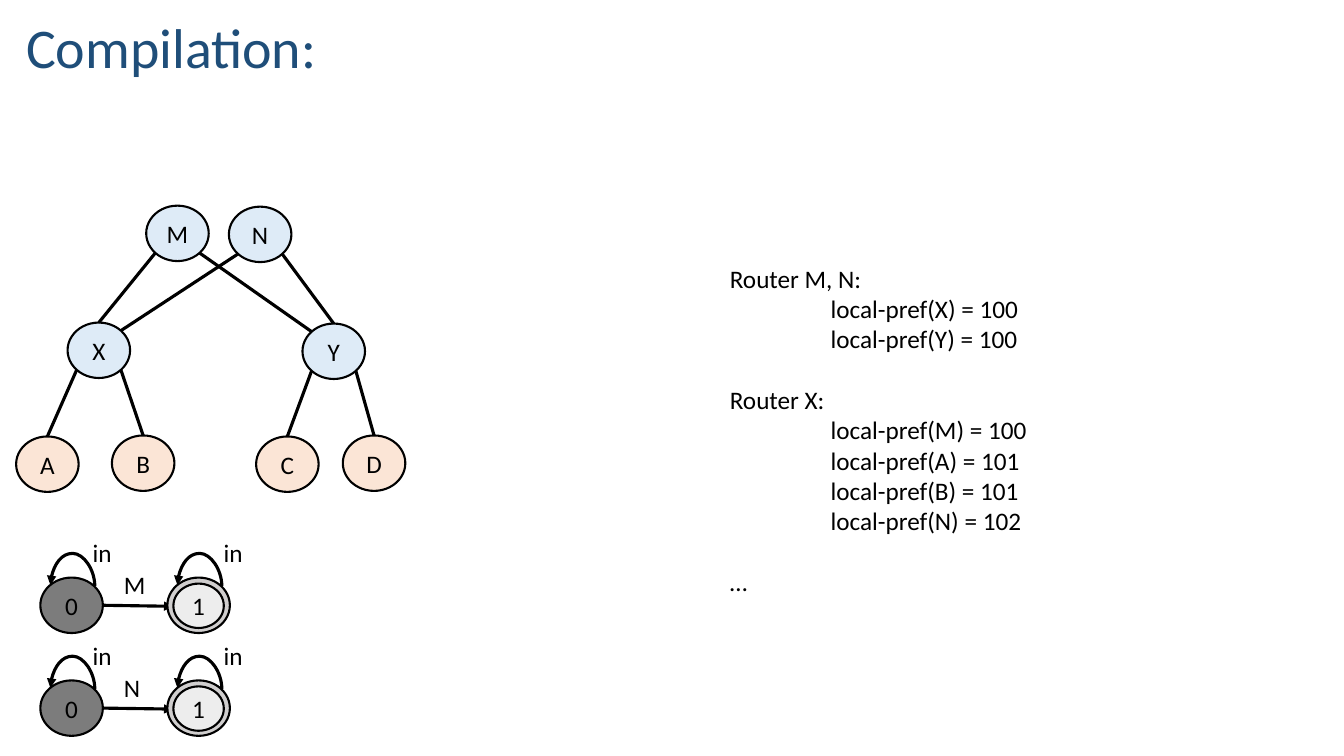
from lxml import etree
from pptx import Presentation
from pptx import util as u
from pptx.dml.color import RGBColor
from pptx.enum import shapes, text
from pptx.oxml.ns import qn

HUE = {"ink": "000000", "title": "1F4E79", "core": "DEEBF7", "leaf": "FBE5D6",
       "start": "7C7C7C", "ring": "D0CECE", "final": "EDEDED"}
FONT = "Calibri"
WIDE, HIGH = 0.62, 0.55
DIAG = 0.5 ** 0.5

# name: (left, top, colour)
NODES = {
    "M": (1.45, 2.04, "core"), "N": (2.27, 2.05, "core"),
    "X": (0.67, 3.2, "core"), "Y": (3, 3.21, "core"),
    "A": (0.16, 4.33, "leaf"), "B": (1.11, 4.32, "leaf"),
    "C": (2.54, 4.33, "leaf"), "D": (3.4, 4.32, "leaf"),
}
# upper node, its lower side, lower node, its upper side (-1 left, 0 top, 1 right)
EDGES = [
    ("M", -1, "X", 0), ("N", -1, "X", 1), ("M", 1, "Y", -1), ("N", 1, "Y", 0),
    ("X", -1, "A", 0), ("X", 1, "B", 0), ("Y", -1, "C", 0), ("Y", 1, "D", 0),
]
# letter on the step, top of the start state
CHAINS = [("M", 5.73), ("N", 6.75)]
# line, is indented, starts a new block
CONFIG = [
    ("Router M, N:", False, False),
    ("local-pref(X) = 100", True, False),
    ("local-pref(Y) = 100", True, False),
    ("Router X:", False, True),
    ("local-pref(M) = 100", True, False),
    ("local-pref(A) = 101", True, False),
    ("local-pref(B) = 101", True, False),
    ("local-pref(N) = 102", True, False),
    ("…", False, True),
]

deck = Presentation()
deck.slide_width, deck.slide_height = u.Inches(13.33), u.Inches(7.5)
slide = deck.slides.add_slide(deck.slide_layouts[6])


def inch(*vals):
    return [u.Inches(v) for v in vals]


def tint(name):
    return RGBColor.from_string(HUE[name])


def style(para, size=18, hue="ink"):
    for key, val in {"name": FONT, "size": u.Pt(size)}.items():
        setattr(para.font, key, val)
    para.font.color.rgb = tint(hue)


def oval(x, y, hue, word="", w=WIDE, h=HIGH):
    shape = slide.shapes.add_shape(shapes.MSO_SHAPE.OVAL, *inch(x, y, w, h))
    shape.shadow.inherit = False
    shape.fill.solid()
    shape.fill.fore_color.rgb = tint(hue)
    shape.line.color.rgb = tint("ink")
    shape.line.width = u.Pt(1.5)
    if word:
        frame = shape.text_frame
        form = {"margin_left": 0, "margin_right": 0, "margin_top": 0, "margin_bottom": 0,
                "word_wrap": False, "vertical_anchor": text.MSO_ANCHOR.MIDDLE}
        for key, val in form.items():
            setattr(frame, key, val)
        para = frame.paragraphs[0]
        para.text = word
        para.alignment = text.PP_ALIGN.CENTER
        style(para)
    return shape


def link(start, end, arrow=False, kind=shapes.MSO_CONNECTOR.STRAIGHT):
    line = slide.shapes.add_connector(kind, *inch(*start, *end))
    line.line.color.rgb = tint("ink")
    line.line.width = u.Pt(2.25)
    props = line._element.spPr
    if arrow:
        etree.SubElement(props.find(qn("a:ln")), qn("a:tailEnd"), type="triangle")
    etree.SubElement(props, qn("a:effectLst"))
    return line


def loop(x, y):
    """Draw a self-loop that rises over a state; x and y are its middle."""
    span, thin, rise = 0.44, 0.01, 0.33
    left, top = x - thin / 2, y - span / 2
    line = link((left, top), (left + thin, top + span), True, shapes.MSO_CONNECTOR.CURVE)
    props = line._element.spPr
    frame = props.find(qn("a:xfrm"))
    frame.set("rot", str(270 * 60000))
    frame.set("flipV", "1")
    guides = props.find(qn("a:prstGeom")).find(qn("a:avLst"))
    etree.SubElement(guides, qn("a:gd"), name="adj1",
                     fmla=f"val {round(rise / thin * 100000)}")


def label(x, y, w, h, word, wrap=False):
    frame = slide.shapes.add_textbox(*inch(x, y, w, h)).text_frame
    frame.word_wrap = wrap
    frame.paragraphs[0].text = word
    style(frame.paragraphs[0])
    return frame


def site(name, side, low):
    """Point on a node's rim: top or bottom if side is 0, else a diagonal."""
    x, y, _ = NODES[name]
    part = DIAG if side else 1
    return (x + WIDE / 2 * (1 + side * DIAG),
            y + HIGH / 2 * (1 + (part if low else -part)))


# Network
balls = {name: oval(x, y, hue, name) for name, (x, y, hue) in NODES.items()}
for upper, out, lower, into in EDGES:
    edge = link(site(upper, out, True), site(lower, into, False))
    if into == 0:
        edge.end_connect(balls[lower], 0)

# Automata
for letter, top in CHAINS:
    mid = top + HIGH / 2
    oval(0.4, top, "start", "0")
    link((0.4 + WIDE, mid), (1.72, mid + 0.01), True)
    oval(1.66, top, "ring")
    oval(1.72, top + 0.06, "final", "1", 0.5, 0.44)
    label(1.13, top - 0.13, 0.42, 0.4, letter)
    for x, word in ((0.72, 0.82), (1.98, 2.12)):
        loop(x, top + 0.08)
        label(word, top - 0.45, 0.39, 0.4, "in")

# Title
title = label(0.16, -0.08, 8.9, 0.93, "Compilation:", True)
title.vertical_anchor = text.MSO_ANCHOR.BOTTOM
title.paragraphs[0].line_spacing = 0.9
style(title.paragraphs[0], 40, "title")

# Router settings
body = label(7.14, 2.56, 4.79, 3.43, CONFIG[0][0], True)
for words, inset, fresh in CONFIG[1:]:
    para = body.add_paragraph()
    para.text = words
    if inset:
        para._p.get_or_add_pPr().set("marL", str(u.Inches(1)))
    if fresh:
        para.space_before = u.Pt(22)
    style(para)

deck.save("out.pptx")
